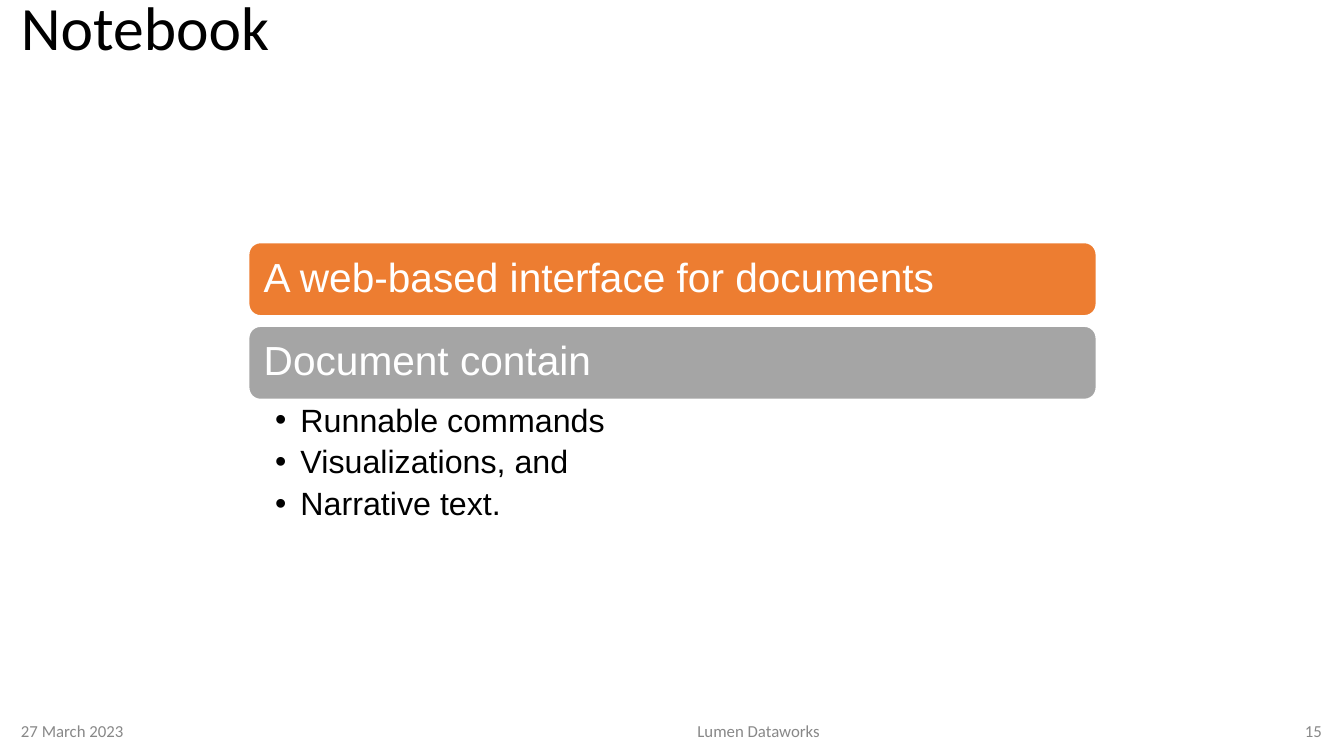
from dataclasses import dataclass

from lxml.etree import SubElement
from pptx import Presentation
from pptx.dml.color import RGBColor as RGB
from pptx.enum.shapes import MSO_SHAPE as SHAPE
from pptx.enum.text import MSO_ANCHOR as ANCHOR, PP_ALIGN as ALIGN
from pptx.oxml.ns import qn
from pptx.util import Inches, Pt


@dataclass(frozen=True)
class Theme:
    heading: str = "Calibri"
    body: str = "Arial"
    black: str = "000000"
    white: str = "FFFFFF"
    muted: str = "888888"
    orange: str = "ED7D31"
    gray: str = "A5A5A5"
    title_size: int = 44
    bar_size: int = 29
    bullet_size: int = 23
    footer_size: int = 12


def write(tf, text, *, font, size, color, align=ALIGN.LEFT, anchor=ANCHOR.MIDDLE,
          insets=(0.1, 0.05, 0.1, 0.05), spacing=None, after=0, indent=None):
    """Fill a text frame, one paragraph per line; an indent makes bullets."""
    tf.word_wrap = True
    tf.vertical_anchor = anchor
    tf.margin_left, tf.margin_top, tf.margin_right, tf.margin_bottom = map(Inches, insets)
    for i, line in enumerate(text.split("\n")):
        p = tf.add_paragraph() if i else tf.paragraphs[0]
        p.alignment = align
        p.line_spacing = spacing
        p.space_after = Pt(after)
        if indent:
            pPr = p._p.get_or_add_pPr()
            pPr.set("marL", str(Inches(indent)))
            pPr.set("indent", str(-Inches(indent)))
            SubElement(pPr, qn("a:buFont")).set("typeface", font)
            SubElement(pPr, qn("a:buChar")).set("char", "•")
        r = p.add_run()
        r.text = line
        r.font.name, r.font.size = font, Pt(size)
        r.font.color.rgb = RGB.from_string(color)


class Deck:
    """Draw styled elements on the current slide."""

    def __init__(self, theme):
        self.theme = theme
        self.prs = Presentation()
        self.prs.slide_width, self.prs.slide_height = Inches(13.33), Inches(7.5)
        self.s = self.prs.slides.add_slide(self.prs.slide_layouts[6])

    def text(self, box, text, **style):
        sp = self.s.shapes.add_textbox(*map(Inches, box))
        write(sp.text_frame, text, **style)

    def title(self, box, text):
        t = self.theme
        self.text(box, text, font=t.heading, size=t.title_size, color=t.black, spacing=0.9)

    def bar(self, box, text, fill):
        t = self.theme
        sp = self.s.shapes.add_shape(SHAPE.ROUNDED_RECTANGLE, *map(Inches, box))
        sp.shadow.inherit = False
        sp.fill.solid()
        sp.fill.fore_color.rgb = RGB.from_string(fill)
        sp.line.color.rgb = RGB.from_string(t.white)
        sp.line.width = Pt(2)
        write(sp.text_frame, text, font=t.body, size=t.bar_size, color=t.white,
              insets=(0.12,) * 4, spacing=0.9)

    def bullets(self, box, text):
        t = self.theme
        self.text(box, text, font=t.body, size=t.bullet_size, color=t.black,
                  anchor=ANCHOR.TOP, insets=(0.27, 0.04, 0.23, 0.04),
                  spacing=0.9, after=5, indent=0.25)

    def footer(self, left, width, text, align):
        t = self.theme
        self.text((left, 7.05, width, 0.4), text, font=t.heading, size=t.footer_size,
                  color=t.muted, align=align)


def main():
    theme = Theme()
    deck = Deck(theme)
    deck.title((0.11, 0.03, 13.11, 0.55), "Notebook")

    left, top, width, height, pitch = 2.46, 2.4, 8.42, 0.74, 0.83
    bars = (("A web-based interface for documents", theme.orange),
            ("Document contain", theme.gray))
    for i, (text, fill) in enumerate(bars):
        deck.bar((left, top + i * pitch, width, height), text, fill)
    deck.bullets((left, top + pitch + height, width, 1.25),
                 "Runnable commands\nVisualizations, and\nNarrative text.")

    deck.footer(0.11, 2.72, "27 March 2023", ALIGN.LEFT)
    deck.footer(3.03, 8.99, "Lumen Dataworks", ALIGN.CENTER)
    deck.footer(12.51, 0.7, "15", ALIGN.RIGHT)
    deck.prs.save("out.pptx")


if __name__ == "__main__":
    main()
